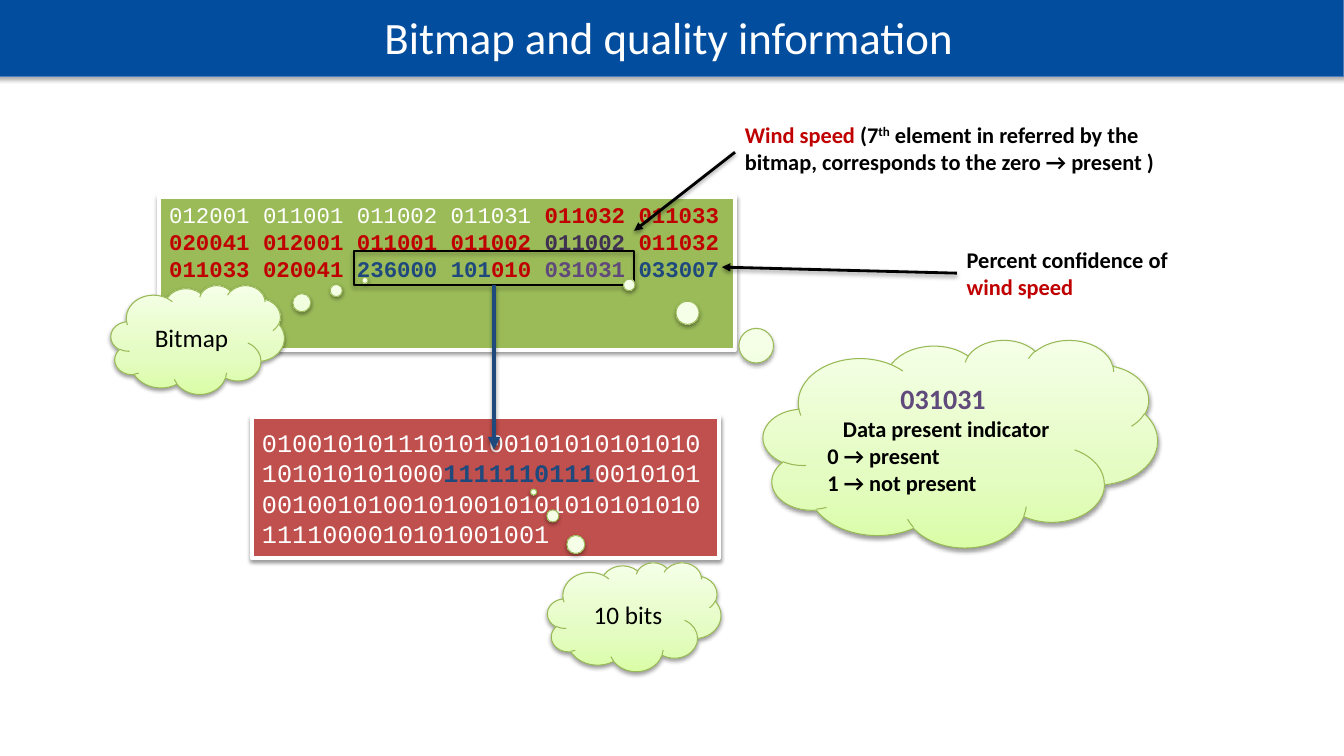
from dataclasses import dataclass

import pptx
import pptx.dml.color
import pptx.enum.shapes
import pptx.enum.text
import pptx.oxml.ns
import pptx.oxml.xmlchemy
import pptx.util
from copy import deepcopy

EMU_PER_PX = 9144  # 100 px to the inch
BLACK, WHITE, RED, NAVY, PURPLE = "000000", "FFFFFF", "C00000", "1F497D", "604A7B"
CLOUD_GRADIENT = ((0, "DAFDA7"), (0.35, "E4FCC2"), (1, "F5FFE7"))
SHAPE = pptx.enum.shapes.MSO_SHAPE
LEFT, CENTER = pptx.enum.text.PP_ALIGN.LEFT, pptx.enum.text.PP_ALIGN.CENTER
TOP, MIDDLE = pptx.enum.text.MSO_ANCHOR.TOP, pptx.enum.text.MSO_ANCHOR.MIDDLE


@dataclass(frozen=True)
class Span:
    text: str
    color: str = BLACK
    bold: bool = True
    size: int | None = None
    superscript: bool = False


@dataclass(frozen=True)
class Paragraph:
    spans: tuple[Span, ...]
    align: object = LEFT


@dataclass(frozen=True)
class Box:
    left: int
    top: int
    width: int
    height: int
    fill: str | None
    line: str
    line_width: float
    shadow_alpha: int = 38
    shadow_distance: float = 1.6


@dataclass(frozen=True)
class Cloud:
    left: int
    top: int
    width: int
    height: int
    tail: tuple[float, float]
    paragraphs: tuple[Paragraph, ...]


@dataclass(frozen=True)
class Arrow:
    start: tuple[int, int]
    end: tuple[int, int]
    color: str
    width: float
    source: object = None
    side: int = 0


def px(*lengths: int) -> list[pptx.util.Emu]:
    return [pptx.util.Emu(length * EMU_PER_PX) for length in lengths]


def rgb(color: str) -> pptx.dml.color.RGBColor:
    return pptx.dml.color.RGBColor.from_string(color)


def add_child(parent, tag: str, **attributes):
    child = pptx.oxml.xmlchemy.OxmlElement(tag)
    for name, value in attributes.items():
        child.set(name, str(value))
    parent.append(child)
    return child


def set_line(shape, color: str, width: float) -> None:
    shape.line.color.rgb = rgb(color)
    shape.line.width = pptx.util.Pt(width)


def set_shadow(shape, alpha: int = 38, distance: float = 1.6) -> None:
    """Give the shape a soft shadow straight below it; call after set_line."""
    effects = add_child(shape._element.spPr, "a:effectLst")
    shadow = add_child(effects, "a:outerShdw", blurRad=pptx.util.Pt(3.1),
                       dist=pptx.util.Pt(distance), dir=5400000, rotWithShape=0)
    color = add_child(shadow, "a:srgbClr", val=BLACK)
    add_child(color, "a:alpha", val=alpha * 1000)


def write_text(shape, *paragraphs: Paragraph, size: int = 16,
               font: str = "Calibri", anchor=MIDDLE) -> None:
    frame = shape.text_frame
    frame.word_wrap = True
    frame.vertical_anchor = anchor
    for index, paragraph in enumerate(paragraphs):
        line = frame.add_paragraph() if index else frame.paragraphs[0]
        line.alignment = paragraph.align
        for span in paragraph.spans:
            run = line.add_run()
            run.text = span.text
            run.font.name = font
            run.font.size = pptx.util.Pt(span.size or size)
            run.font.bold = span.bold
            run.font.color.rgb = rgb(span.color)
            if span.superscript:
                run.font._element.set("baseline", "30000")


def add_box(slide, box: Box):
    shape = slide.shapes.add_shape(
        SHAPE.RECTANGLE, *px(box.left, box.top, box.width, box.height))
    if box.fill:
        shape.fill.solid()
        shape.fill.fore_color.rgb = rgb(box.fill)
    else:
        shape.fill.background()
    set_line(shape, box.line, box.line_width)
    set_shadow(shape, box.shadow_alpha, box.shadow_distance)
    return shape


def add_cloud(slide, cloud: Cloud) -> None:
    shape = slide.shapes.add_shape(
        SHAPE.CLOUD_CALLOUT, *px(cloud.left, cloud.top, cloud.width, cloud.height))
    shape.adjustments[0], shape.adjustments[1] = cloud.tail
    shape.fill.gradient()
    shape.fill.gradient_angle = 90
    stop_list = shape._element.spPr.find(".//" + pptx.oxml.ns.qn("a:gsLst"))
    stop_list.append(deepcopy(stop_list[0]))
    for stop, (position, color) in zip(shape.fill.gradient_stops, CLOUD_GRADIENT):
        stop.position = position
        stop.color.rgb = rgb(color)
    set_line(shape, "98B955", 0.75)
    set_shadow(shape)
    write_text(shape, *cloud.paragraphs)


def add_label(slide, left: int, top: int, width: int, height: int, *spans: Span):
    label = slide.shapes.add_textbox(*px(left, top, width, height))
    write_text(label, Paragraph(spans), anchor=TOP)
    return label


def add_arrow(slide, arrow: Arrow) -> None:
    connector = slide.shapes.add_connector(
        pptx.enum.shapes.MSO_CONNECTOR.STRAIGHT, *px(*arrow.start, *arrow.end))
    if arrow.source is not None:
        connector.begin_connect(arrow.source, arrow.side)
    set_line(connector, arrow.color, arrow.width)
    add_child(connector.line._get_or_add_ln(), "a:tailEnd", type="triangle")
    set_shadow(connector)


def main() -> None:
    deck = pptx.Presentation()
    deck.slide_width, deck.slide_height = px(1333, 750)
    slide = deck.slides.add_slide(deck.slide_layouts[6])

    title = add_box(slide, Box(-6, -4, 1339, 80, "034D9E", "4B7EBC", 0.75, 35, 1.8))
    write_text(title, Paragraph(
        (Span("Bitmap and quality information", WHITE, False),), CENTER), size=32)

    descriptors = add_box(slide, Box(158, 195, 571, 152, "9BBB59", WHITE, 3))
    write_text(descriptors, Paragraph((
        Span("012001 011001 011002 011031 ", WHITE, False),
        Span("011032 011033 020041 012001 011001 011002 ", RED),
        Span("011002", "403152"),
        Span(" 011032 011033 020041 ", RED),
        Span("236000 101", NAVY),
        Span("010 ", RED),
        Span("031031", PURPLE),
        Span(" 033007", NAVY),
    )), font="Courier New", anchor=TOP)
    bitmap_frame = add_box(slide, Box(351, 249, 278, 34, None, BLACK, 1.25, 35, 1.8))

    bits = add_box(slide, Box(250, 414, 463, 140, "C0504D", WHITE, 3))
    write_text(bits, Paragraph((
        Span("0100101011101010010101010101010", WHITE, False),
        Span("1", "F2F2F2", False),
        Span("010101000", WHITE, False),
        Span("1111110111", NAVY),
        Span("0010101001001010010100101010101010101111000010101001001", WHITE, False),
    )), size=18, font="Courier New")

    bitmap_cloud = Cloud(110, 283, 172, 108, (0.965, -0.545), (
        Paragraph((Span("Bitmap", bold=False, size=18),), CENTER),))
    indicator_cloud = Cloud(757, 337, 391, 206, (-0.84, -0.764), (
        Paragraph((Span("031031 ", PURPLE, size=20),), CENTER),
        Paragraph((Span("Data present indicator"),), CENTER),
        Paragraph((Span("0 → present"),)),
        Paragraph((Span("1 → not present"),))))
    count_cloud = Cloud(543, 558, 172, 108, (-0.58, -1.147), (
        Paragraph((Span("10 bits", bold=False, size=18),), CENTER),))

    add_cloud(slide, bitmap_cloud)
    add_arrow(slide, Arrow((490, 283), (490, 446), NAVY, 3, bitmap_frame, 2))
    add_cloud(slide, indicator_cloud)
    add_arrow(slide, Arrow((729, 151), (629, 229), BLACK, 2))
    add_label(slide, 729, 115, 446, 64,
              Span("Wind speed ", RED), Span("(7"), Span("th", superscript=True),
              Span(" element in referred by the bitmap, "
                   "corresponds to the zero → present )"))
    confidence = add_label(slide, 949, 239, 246, 64,
                           Span("Percent confidence of "), Span("wind speed", RED))
    add_arrow(slide, Arrow((949, 271), (716, 265), BLACK, 2, confidence, 1))
    add_cloud(slide, count_cloud)

    deck.save("out.pptx")


if __name__ == "__main__":
    main()
